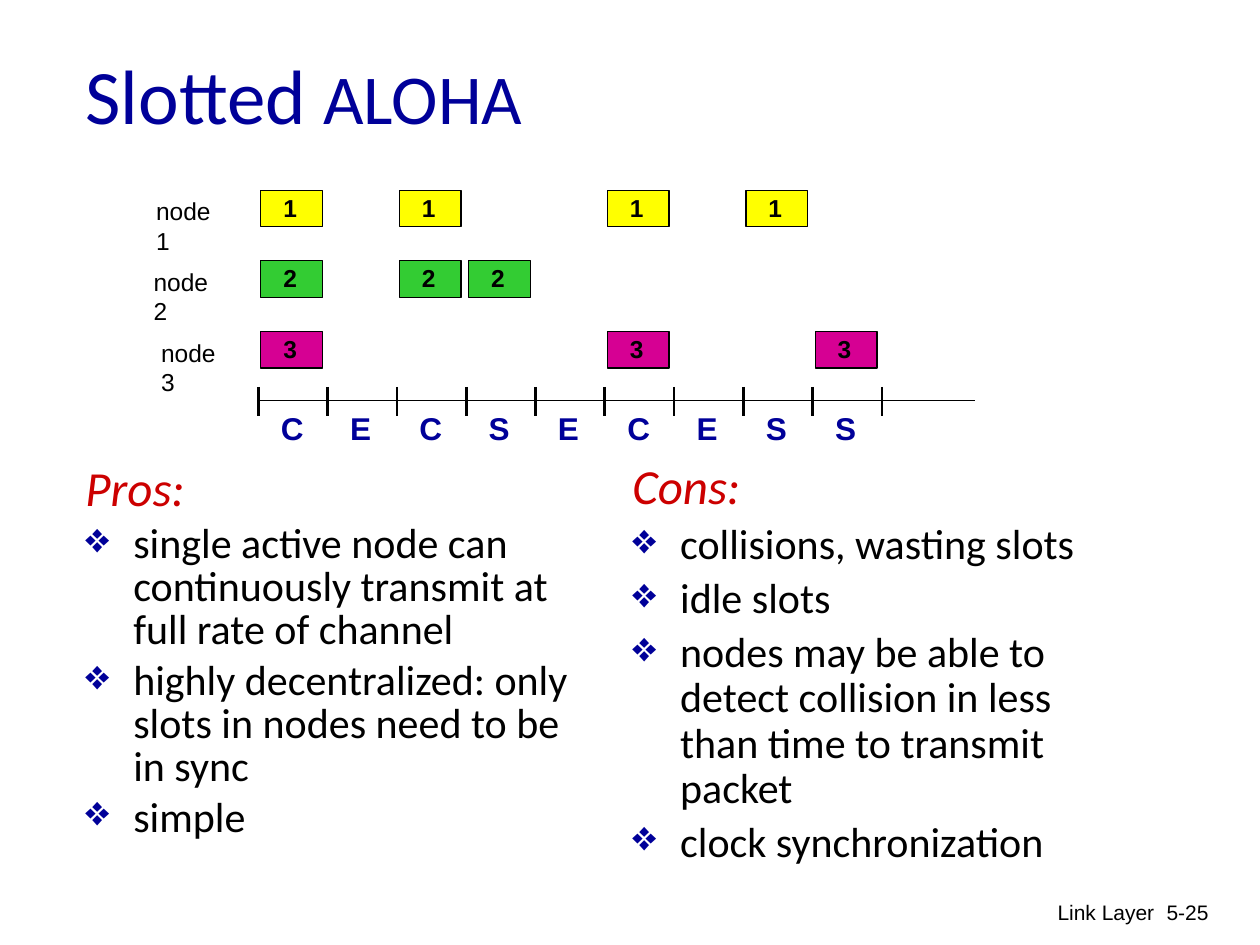
import pptx
import pptx.dml.color
import pptx.enum.shapes
import pptx.enum.text
import pptx.oxml.ns
import pptx.util
from lxml import etree

Inches = pptx.util.Inches
Pt = pptx.util.Pt
qn = pptx.oxml.ns.qn
ALIGN = pptx.enum.text.PP_ALIGN
ANCHOR = pptx.enum.text.MSO_ANCHOR

COLORS = {
    "black": "000000",
    "navy": "000099",
    "red": "CC0000",
    "yellow": "FFFF00",
    "green": "33CC33",
    "magenta": "D60093",
}


def rgb(name):
    return pptx.dml.color.RGBColor.from_string(COLORS[name])


class SlideBuilder:
    """Holds the style and the current slide."""

    label = {"name": "Arial", "size": Pt(14)}
    frame_label = {**label, "bold": True}
    outcome = {"name": "Arial", "size": Pt(18), "bold": True}
    footer = {"name": "Arial", "size": Pt(12)}
    title = {"name": "Calibri", "size": Pt(44)}
    heading = {"name": "Calibri", "size": Pt(28), "italic": True}
    body = {"name": "Calibri", "size": Pt(24)}

    def __init__(self, slide):
        self.s = slide

    def run(self, p, text, style, color="black"):
        r = p.add_run()
        r.text = text
        for key, value in style.items():
            setattr(r.font, key, value)
        r.font.color.rgb = rgb(color)

    def box(self, x, y, w, h, anchor=ANCHOR.TOP):
        sp = self.s.shapes.add_textbox(Inches(x), Inches(y), Inches(w), Inches(h))
        tf = sp.text_frame
        tf.word_wrap = True
        tf.vertical_anchor = anchor
        return tf

    def text(self, x, y, w, h, text, style, color="black", align=ALIGN.LEFT):
        p = self.box(x, y, w, h).paragraphs[0]
        p.alignment = align
        self.run(p, text, style, color)

    def frame(self, x, y, number, fill):
        sp = self.s.shapes.add_shape(
            pptx.enum.shapes.MSO_SHAPE.RECTANGLE,
            Inches(x), Inches(y), Inches(0.49), Inches(0.29))
        sp.shadow.inherit = False
        sp.fill.solid()
        sp.fill.fore_color.rgb = rgb(fill)
        sp.line.color.rgb = rgb("black")
        sp.line.width = Pt(0.75)
        self.text(x + 0.08, y - 0.03, 0.31, 0.33, number, self.frame_label)

    def line(self, x1, y1, x2, y2, width):
        c = self.s.shapes.add_connector(
            pptx.enum.shapes.MSO_CONNECTOR.STRAIGHT,
            Inches(x1), Inches(y1), Inches(x2), Inches(y2))
        c.line.color.rgb = rgb("black")
        c.line.width = Pt(width)
        etree.SubElement(c._element.spPr, qn("a:effectLst"))

    def bullet(self, p):
        pPr = p._p.get_or_add_pPr()
        pPr.set("marL", str(Inches(0.38)))
        pPr.set("indent", str(-Inches(0.38)))
        color = etree.SubElement(pPr, qn("a:buClr"))
        etree.SubElement(color, qn("a:srgbClr"), val=COLORS["navy"])
        etree.SubElement(pPr, qn("a:buChar"), char="❖")

    def column(self, x, y, heading, items, spacing):
        tf = self.box(x, y, 4.17, 3.5)
        p = tf.paragraphs[0]
        p.line_spacing = spacing
        self.run(p, heading, self.heading, "red")
        for item in items:
            p = tf.add_paragraph()
            p.line_spacing = spacing
            p.space_before = Pt(4.8)
            self.bullet(p)
            self.run(p, item, self.body)


def main():
    prs = pptx.Presentation()
    prs.slide_width, prs.slide_height = Inches(10), Inches(7.5)
    b = SlideBuilder(prs.slides.add_slide(prs.slide_layouts[6]))

    # Title
    p = b.box(0.58, 0.12, 5.42, 1.25, ANCHOR.MIDDLE).paragraphs[0]
    b.run(p, "Slotted ", b.title, "navy")
    b.run(p, "ALOHA", {**b.title, "size": Pt(40)}, "navy")

    # Pros and cons
    b.column(0.58, 3.65, "Pros:", [
        "single active node can continuously transmit at full rate of channel",
        "highly decentralized: only slots in nodes need to be in sync",
        "simple",
    ], 0.85)
    b.column(4.92, 3.62, "Cons:", [
        "collisions, wasting slots",
        "idle slots",
        "nodes may be able to detect collision in less than time to transmit packet",
        "clock synchronization",
    ], 0.9)

    # Frames sent by each node, by slot
    start, pitch = 2.05, 0.55
    nodes = [
        ("1", "yellow", 1.14, [0, 2, 5, 7]),
        ("2", "green", 1.12, [0, 2, 3]),
        ("3", "magenta", 1.18, [0, 5, 8]),
    ]
    for row, (number, fill, label_x, slots) in enumerate(nodes):
        y = 1.51 + 0.56 * row
        b.text(label_x, y, 0.79, 0.33, f"node {number}", b.label)
        for slot in slots:
            b.frame(start + 0.02 + pitch * slot, y, number, fill)

    # Time axis with slot boundaries and outcomes
    outcomes = "CECSECESS"
    b.line(start, 3.18, 7.74, 3.18, 0.75)
    for i in range(len(outcomes) + 1):
        x = start + pitch * i
        b.line(x, 3.07, x, 3.3, 1.5)
    for i, letter in enumerate(outcomes):
        b.text(start + 0.08 + pitch * i, 3.2, 0.38, 0.4, letter, b.outcome, "navy")

    # Footer
    b.text(6.09, 7.09, 3.17, 0.5, "Link Layer", b.footer, align=ALIGN.RIGHT)
    b.text(8.95, 7.09, 0.74, 0.5, "5-25", b.footer, align=ALIGN.RIGHT)

    prs.save("out.pptx")


if __name__ == "__main__":
    main()
